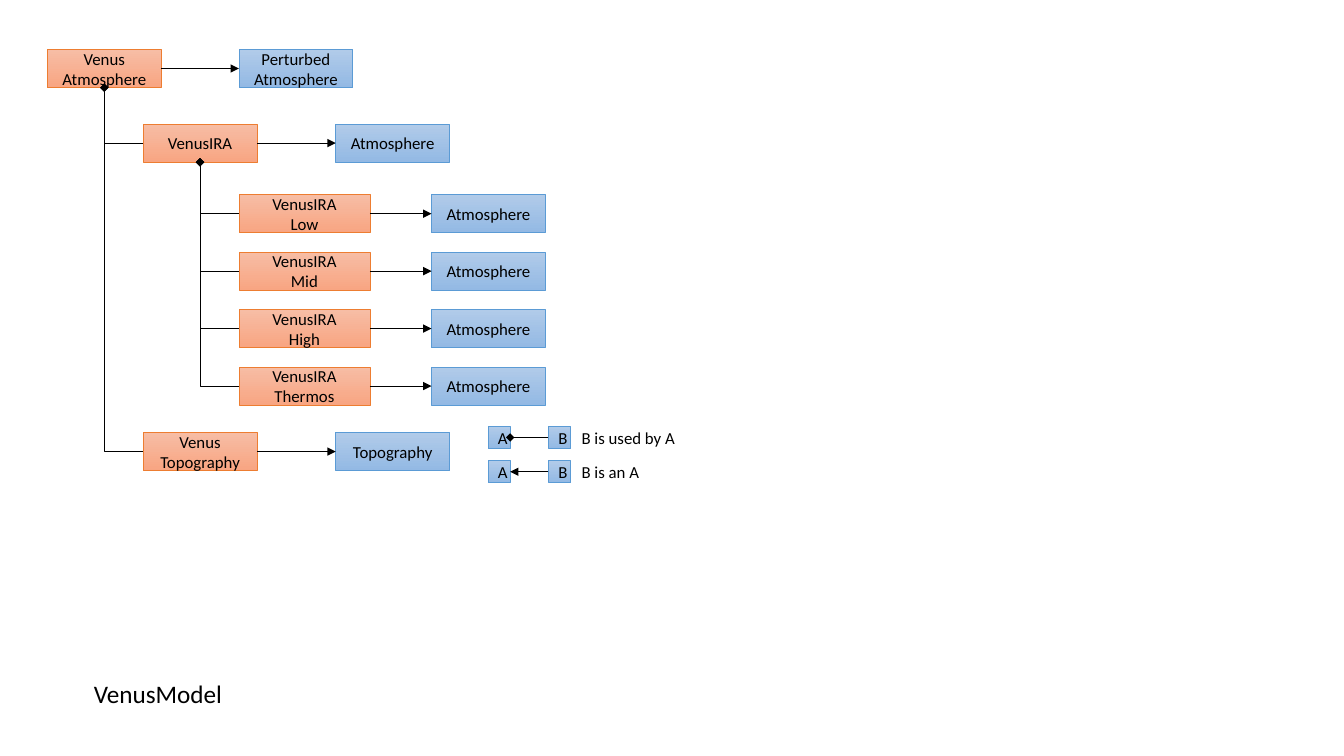
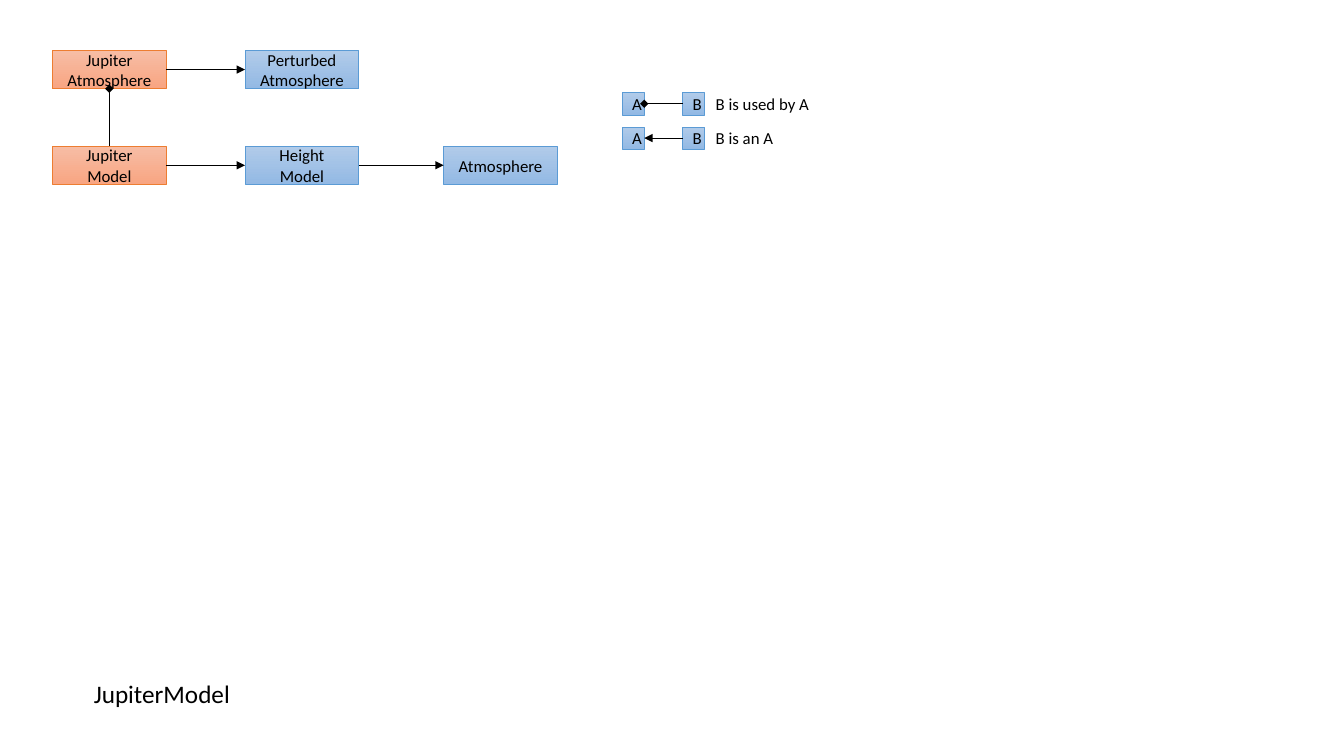
from pptx import Presentation
from pptx.dml.color import RGBColor
from pptx.enum.shapes import MSO_CONNECTOR, MSO_SHAPE
from pptx.enum.text import MSO_ANCHOR, PP_ALIGN
from pptx.oxml.ns import qn
from pptx.util import Inches, Pt
from lxml.etree import SubElement

ORANGE = ("F7BDA5", "F8A582", "ED7D31")  # top, bottom, outline
BLUE = ("B1CBE9", "93B9E4", "5B9BD5")
BLACK = RGBColor.from_string("000000")
HIGH = 0.38
SIDE = 0.22
NARROW, WIDE = 1.13, 1.3

# Each row: parent row, top, width of first box, {left: text}
VENUS = [
    (None, 0.49, NARROW, {0.47: "Venus\nAtmosphere", 2.37: "Perturbed\nAtmosphere"}),
    (0, 1.23, NARROW, {1.42: "VenusIRA", 3.33: "Atmosphere"}),
]
for i, level in enumerate(["Low", "Mid", "High", "Thermos"]):
    VENUS.append((1, 1.93 + 0.57 * i, WIDE, {2.37: f"VenusIRA\n{level}", 4.28: "Atmosphere"}))
VENUS.append((0, 4.29, NARROW, {1.42: "Venus\nTopography", 3.33: "Topography"}))

JUPITER = [
    (None, 0.5, NARROW, {0.52: "Jupiter\nAtmosphere", 2.43: "Perturbed\nAtmosphere"}),
    (0, 1.45, NARROW, {0.52: "Jupiter\nModel", 2.43: "Height\nModel", 4.4: "Atmosphere"}),
]

# Title, rows, left and top of the legend
SLIDES = [
    ("VenusModel", VENUS, 4.84, 4.23),
    ("JupiterModel", JUPITER, 6.17, 0.92),
]
LEGEND = [("diamond", "B is used by A"), ("triangle", "B is an A")]


def add_box(shapes, text, left, top, width, height, look):
    box = shapes.add_shape(MSO_SHAPE.RECTANGLE, Inches(left), Inches(top),
                           Inches(width), Inches(height))
    box.shadow.inherit = False
    box.fill.gradient()
    box.fill.gradient_angle = 270
    for stop, hue in zip(box.fill.gradient_stops, look):
        stop.color.rgb = RGBColor.from_string(hue)
    box.line.color.rgb = RGBColor.from_string(look[2])
    box.line.width = Pt(0.5)
    box.text_frame.text = text
    for para in box.text_frame.paragraphs:
        para.alignment = PP_ALIGN.CENTER
        para.font.size = Pt(12)
        para.font.name = "Calibri"
        para.font.color.rgb = BLACK
    return box


def join(shapes, start, begin, end, finish, tip, bent=False):
    """Connect side `begin` of start to side `finish` of end, with a tip at the end."""
    kind = MSO_CONNECTOR.ELBOW if bent else MSO_CONNECTOR.STRAIGHT
    line = shapes.add_connector(kind, 0, 0, 0, 0)
    line.begin_connect(start, begin)
    line.end_connect(end, finish)
    line.line.color.rgb = BLACK
    line.line.width = Pt(0.5)
    props = line._element.spPr
    if bent:
        props.find(qn("a:prstGeom")).set("prst", "bentConnector2")
    SubElement(props.find(qn("a:ln")), qn("a:tailEnd"), type=tip)
    SubElement(props, qn("a:effectLst"))


deck = Presentation()
deck.slide_width = Inches(13.33)
deck.slide_height = Inches(7.5)

for name, rows, left, top in SLIDES:
    slide = deck.slides.add_slide(deck.slide_layouts[5])
    title = slide.shapes.title
    title.left, title.top = Inches(0.83), Inches(6.68)
    title.width, title.height = Inches(1.6), Inches(0.4)
    title.text_frame.text = name
    title.text_frame.vertical_anchor = MSO_ANCHOR.TOP
    para = title.text_frame.paragraphs[0]
    para.alignment = PP_ALIGN.LEFT
    para.font.size = Pt(18)
    para.font.name = "Calibri"
    para.font.color.rgb = BLACK

    heads = []
    for parent, y, width, texts in rows:
        last = None
        for x, text in texts.items():
            if last is None:
                last = add_box(slide.shapes, text, x, y, width, HIGH, ORANGE)
                heads.append(last)
            else:
                box = add_box(slide.shapes, text, x, y, NARROW, HIGH, BLUE)
                join(slide.shapes, last, 3, box, 1, "triangle")
                last = box
        if parent is not None:
            head, owner = heads[-1], heads[parent]
            bent = head.left != owner.left
            join(slide.shapes, head, 1 if bent else 0, owner, 2, "diamond", bent)

    group = slide.shapes.add_group_shape().shapes
    for i, (tip, text) in enumerate(LEGEND):
        y = top + 0.34 * i
        user = add_box(group, "A", left, y, SIDE, SIDE, BLUE)
        used = add_box(group, "B", left + 0.6, y, SIDE, SIDE, BLUE)
        join(group, used, 1, user, 3, tip)
        note = group.add_textbox(Inches(left + 0.83), Inches(y - 0.04), Inches(1.2), Inches(0.3))
        note.text_frame.word_wrap = True
        note.text_frame.text = text
        para = note.text_frame.paragraphs[0]
        para.font.size = Pt(12)
        para.font.name = "Calibri"
        para.font.color.rgb = BLACK

deck.save("out.pptx")
